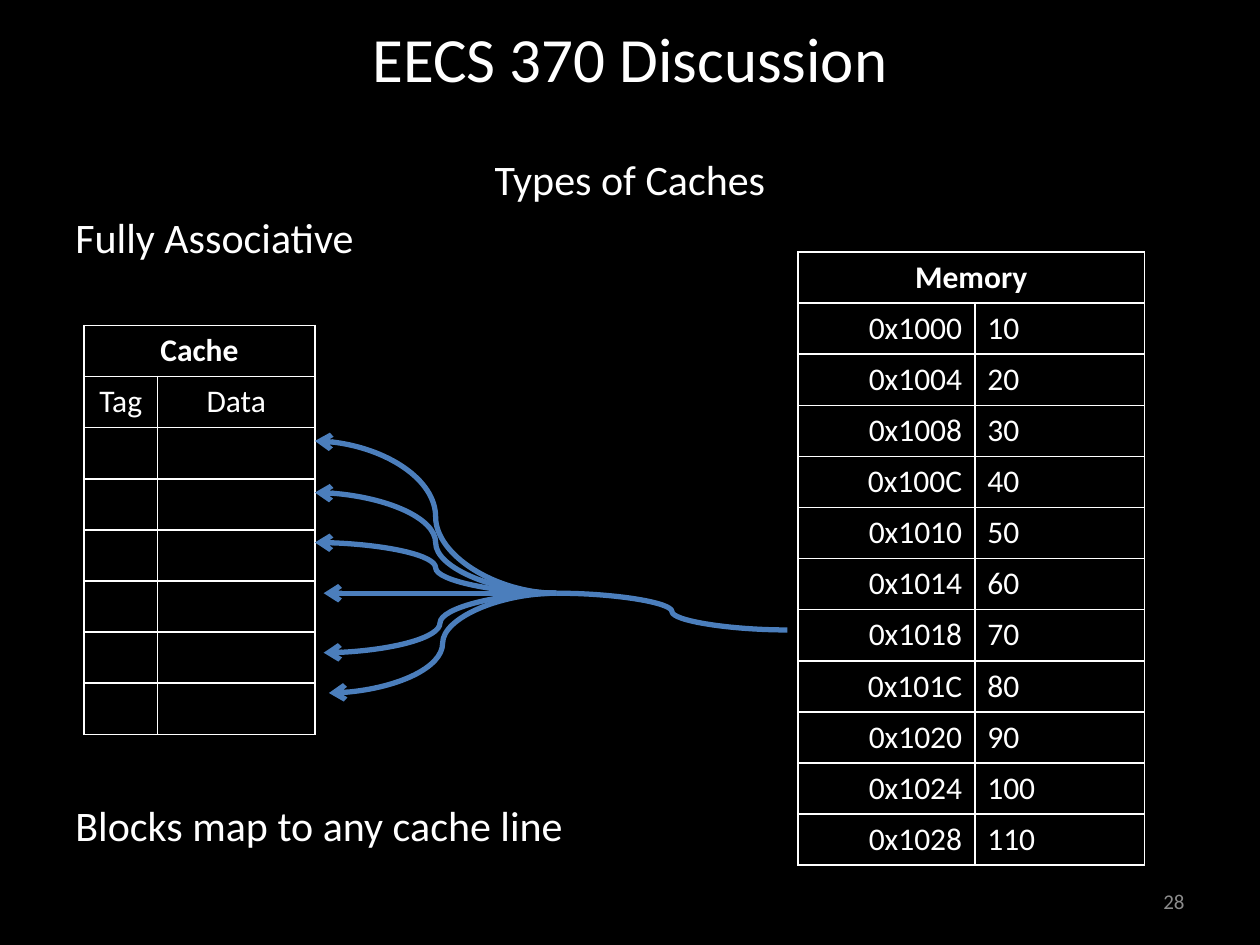
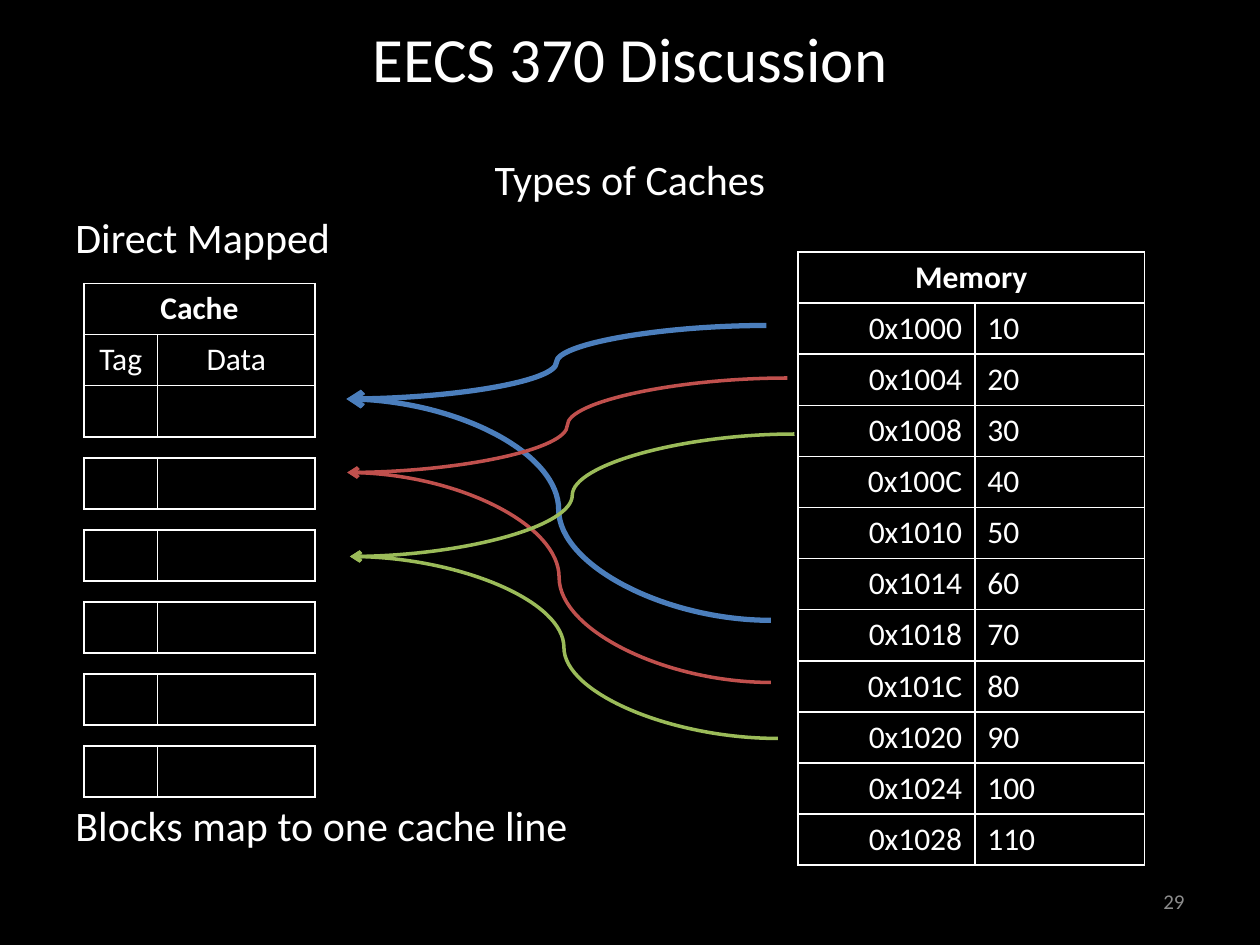
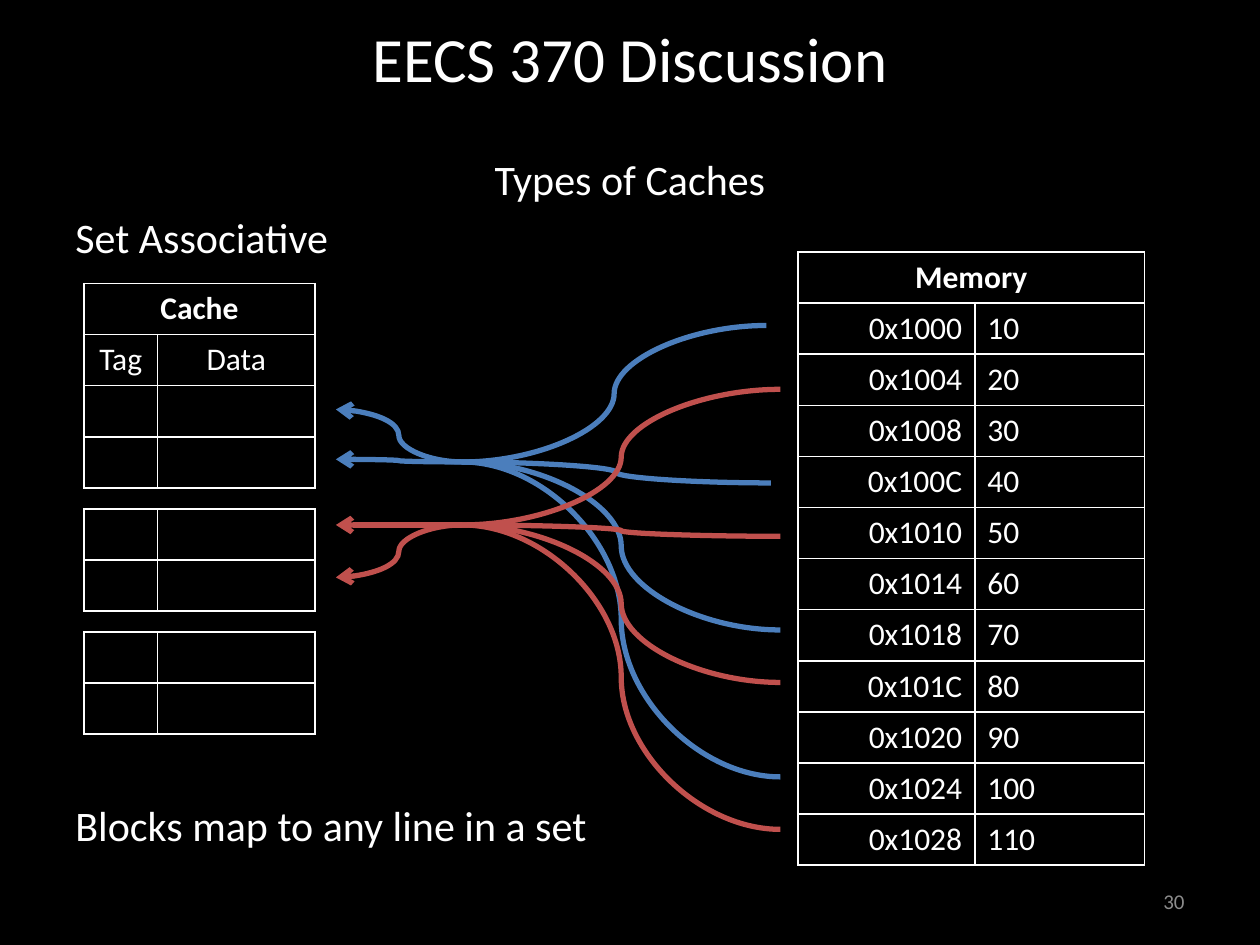
from lxml.etree import SubElement
from pptx import Presentation
from pptx.dml.color import RGBColor
from pptx.enum.shapes import MSO_CONNECTOR
from pptx.enum.text import MSO_ANCHOR, PP_ALIGN as Align
from pptx.oxml.ns import qn
from pptx.util import Pt

FONT = "Calibri"
BLACK, WHITE, GRAY = "000000", "FFFFFF", "8C8C8C"
BLUE, RED, GREEN = "4B7EBC", "C0504D", "9BBB59"
ROW_HEIGHT, GAP_HEIGHT = 29.2, 12
CACHE_LEFT, CACHE_COLUMNS = 48, (42, 90)
MEMORY_LEFT, MEMORY_TOP, MEMORY_COLUMNS = 456, 144, (101, 97)


def rgb(code):
    return RGBColor.from_string(code)


def write(para, text, size, align, color=WHITE, bold=False):
    para.text = text
    para.alignment = align
    para.font.name = FONT
    para.font.size = Pt(size)
    para.font.bold = bold
    para.font.color.rgb = rgb(color)


# Table rows: one entry spans both columns, an empty one is a gap
LINE, GAP = ["", ""], [""]
CACHE_HEAD = [["Cache"], ["Tag", "Data"]]
MEMORY_ROWS = [["Memory"]] + [
    [f"0x{0x1000 + 4 * i:X}", str(10 * (i + 1))] for i in range(11)
]

# Curves: colour, width, arrowhead, start points, end points
any_hub = (318, 339)
blue_hub, red_hub = (264, 264), (264, 300)
slides = [
    {
        "kind": "Fully Associative",
        "rule": "Blocks map to any cache line",
        "cache_top": 186,
        "cache": CACHE_HEAD + [LINE] * 6,
        "curves": [
            (BLUE, 3, False, [(450, 360)], [any_hub]),
            (BLUE, 3, True, [any_hub],
             [(180, 252), (180, 281.5), (185, 373), (188, 396), (180, 310), (185, 339)]),
        ],
    },
    {
        "kind": "Direct Mapped",
        "rule": "Blocks map to one cache line",
        "cache_top": 162,
        "cache": CACHE_HEAD + [LINE, GAP] * 6,
        "curves": [
            (BLUE, 3, True, [(438, 186), (440.5, 354.5)], [(198, 228)]),
            (RED, 2, True, [(450, 216), (440.5, 390)], [(198.5, 270)]),
            (GREEN, 2, True, [(454, 248), (444.5, 422)], [(200, 318)]),
        ],
    },
    {
        "kind": "Set Associative",
        "rule": "Blocks map to any line in a set",
        "cache_top": 162,
        "cache": CACHE_HEAD + [LINE, LINE, GAP] * 3,
        "curves": [
            (BLUE, 3, False,
             [(438, 186), (440.5, 276), (446, 360), (446, 444)], [blue_hub]),
            (BLUE, 3, True, [blue_hub], [(192, 234), (192, 262.5)]),
            (RED, 3, False,
             [(446, 222.5), (446, 306.5), (446, 390), (446, 474)], [red_hub]),
            (RED, 3, True, [red_hub], [(192, 300), (192, 330)]),
        ],
    },
]

deck = Presentation()
deck.slide_width, deck.slide_height = Pt(720), Pt(540)

for number, content in enumerate(slides, start=28):
    page = deck.slides.add_slide(deck.slide_layouts[6])
    page.background.fill.solid()
    page.background.fill.fore_color.rgb = rgb(BLACK)

    # Title, headings, closing rule and page number
    texts = [
        (36, -12, 648, 90, MSO_ANCHOR.MIDDLE,
         [("EECS 370 Discussion", 36, Align.CENTER, WHITE)]),
        (36, 84, 648, 72, MSO_ANCHOR.TOP,
         [("Types of Caches", 24, Align.CENTER, WHITE),
          (content["kind"], 24, Align.LEFT, WHITE)]),
        (36, 453.3, 400, 37, MSO_ANCHOR.TOP,
         [(content["rule"], 24, Align.LEFT, WHITE)]),
        (516, 500.5, 168, 28.8, MSO_ANCHOR.MIDDLE,
         [(str(number), 12, Align.RIGHT, GRAY)]),
    ]
    for left, top, width, height, anchor, lines in texts:
        box = page.shapes.add_textbox(Pt(left), Pt(top), Pt(width), Pt(height))
        frame = box.text_frame
        frame.word_wrap = True
        frame.vertical_anchor = anchor
        for i, line in enumerate(lines):
            para = frame.add_paragraph() if i else frame.paragraphs[0]
            write(para, *line)
            if i:
                para.space_before = Pt(4.3)

    # Cache and memory tables
    tables = [
        (CACHE_LEFT, content["cache_top"], CACHE_COLUMNS, content["cache"],
         (Align.CENTER, Align.CENTER)),
        (MEMORY_LEFT, MEMORY_TOP, MEMORY_COLUMNS, MEMORY_ROWS,
         (Align.RIGHT, Align.LEFT)),
    ]
    for left, top, columns, rows, aligns in tables:
        heights = [GAP_HEIGHT if row == GAP else ROW_HEIGHT for row in rows]
        table = page.shapes.add_table(
            len(rows), 2, Pt(left), Pt(top), Pt(sum(columns)), Pt(sum(heights))
        ).table
        table.first_row = table.horz_banding = False
        for c, width in enumerate(columns):
            table.columns[c].width = Pt(width)
        for r, row in enumerate(rows):
            table.rows[r].height = Pt(heights[r])
            is_gap, is_span = row == GAP, len(row) == 1
            if is_span:
                table.cell(r, 0).merge(table.cell(r, 1))
            for c in range(2):
                cell = table.cell(r, c)
                para = cell.text_frame.paragraphs[0]
                if c < len(row) and row[c]:
                    align = Align.CENTER if is_span else aligns[c]
                    write(para, row[c], 18, align, bold=is_span)
                if is_gap:
                    cell.margin_top = cell.margin_bottom = 0
                    para._p.get_or_add_endParaRPr().set("sz", "400")
                # A gap has no sides, and no bottom at the table's end
                hidden = "LR" if is_gap else ""
                if is_gap and r == len(rows) - 1:
                    hidden += "B"
                props = cell._tc.get_or_add_tcPr()
                for side in "LRTB":
                    border = SubElement(props, qn(f"a:ln{side}"), w=str(Pt(1)))
                    if side in hidden:
                        SubElement(border, qn("a:noFill"))
                    else:
                        fill = SubElement(border, qn("a:solidFill"))
                        SubElement(fill, qn("a:srgbClr"), val=WHITE)
                cell.fill.background()

    # Curves from memory to cache
    for color, width, has_arrow, starts, ends in content["curves"]:
        for x1, y1 in starts:
            for x2, y2 in ends:
                curve = page.shapes.add_connector(
                    MSO_CONNECTOR.CURVE, Pt(x1), Pt(y1), Pt(x2), Pt(y2)
                )
                curve.line.color.rgb = rgb(color)
                curve.line.width = Pt(width)
                if has_arrow:
                    SubElement(curve.line._get_or_add_ln(), qn("a:tailEnd"), type="arrow")
                SubElement(curve._element.spPr, qn("a:effectLst"))

deck.save("out.pptx")
